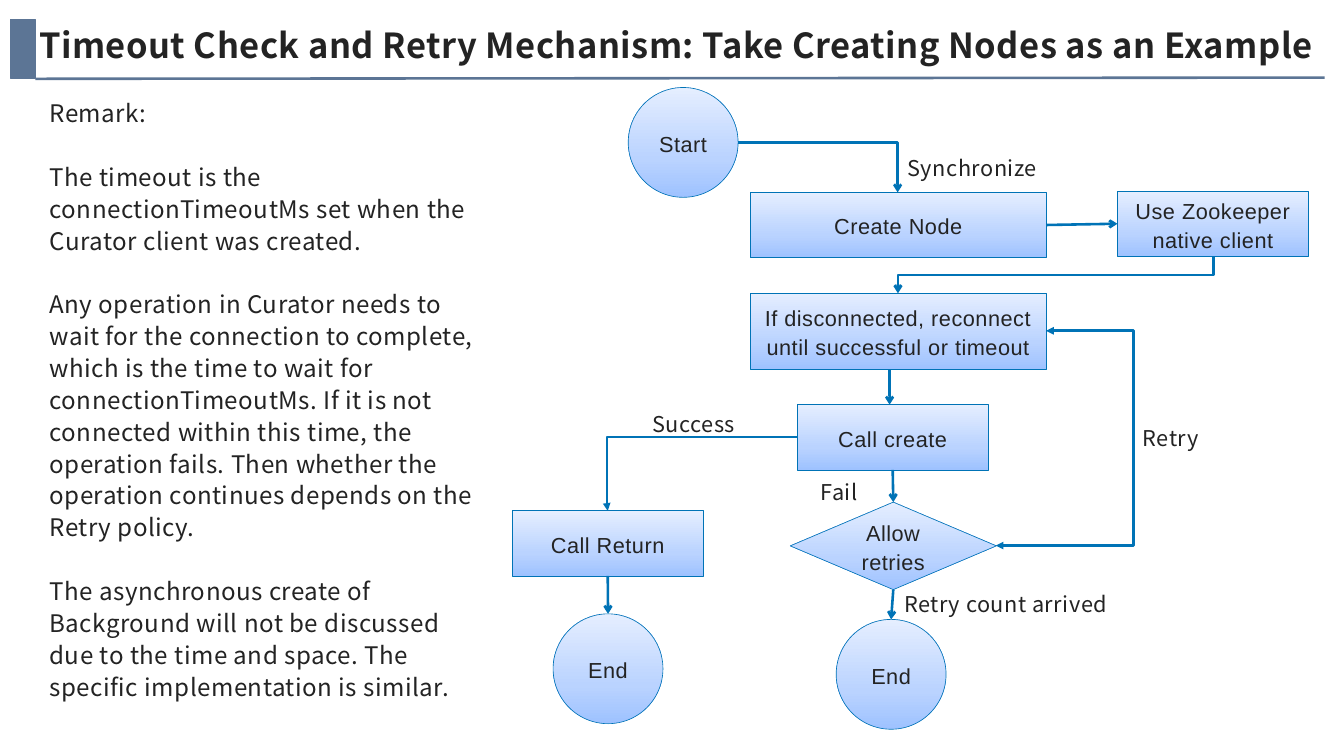
import pptx
import pptx.util
import pptx.dml.color
import pptx.enum.shapes
import pptx.enum.text
import pptx.oxml.ns
import lxml.etree

SCALE = 9144
COLORS = {"ink": "232323", "line": "0073B6", "bar": "5C7595",
          "deep": "9EC2FF", "mid": "BAD3FF", "pale": "E5EEFF"}
SANS = "Noto Sans CJK SC"
KIND = pptx.enum.shapes.MSO_SHAPE
WIRE = pptx.enum.shapes.MSO_CONNECTOR
ALIGN = pptx.enum.text.PP_ALIGN
ANCHOR = pptx.enum.text.MSO_ANCHOR
FIT = pptx.enum.text.MSO_AUTO_SIZE


def px(*sizes):
    return [pptx.util.Emu(size * SCALE) for size in sizes]


def shade(name):
    return pptx.dml.color.RGBColor.from_string(COLORS[name])


def tag(name):
    return pptx.oxml.ns.qn("a:" + name)


def add(parent, kind, /, **attrs):
    return lxml.etree.SubElement(parent, tag(kind), attrs)


def pad(frame, left, top, right, low):
    sides = px(left, top, right, low)
    frame.margin_left, frame.margin_top, frame.margin_right, frame.margin_bottom = sides


def write(para, text, size, font=SANS, bold=False, align=ALIGN.LEFT):
    para.alignment = align
    para.line_spacing = 1.1
    run = para.add_run()
    run.text = text
    run.font.name = font
    run.font.size = pptx.util.Pt(size)
    run.font.bold = bold
    run.font.color.rgb = shade("ink")
    run._r.get_or_add_rPr().set("spc", "60")


def node(slide, kind, text, x, y, w, h):
    shape = slide.shapes.add_shape(kind, *px(x, y, w, h))
    shape.shadow.inherit = False
    shape.fill.gradient()
    shape.fill.gradient_angle = 90
    stops = shape._element.spPr.find(tag("gradFill")).find(tag("gsLst"))
    for stop in list(stops):
        stops.remove(stop)
    for pos, name in ((0, "deep"), (35, "mid"), (100, "pale")):
        add(add(stops, "gs", pos=str(pos * 1000)), "srgbClr", val=COLORS[name])
    shape.line.color.rgb = shade("line")
    shape.line.width = pptx.util.Pt(0.75)
    frame = shape.text_frame
    frame.word_wrap = True
    frame.vertical_anchor = ANCHOR.MIDDLE
    pad(frame, 19, 10, 19, 10)
    write(frame.paragraphs[0], text, 25.2, "Arial", align=ALIGN.CENTER)
    return shape


def link(slide, kind, ends, color="line", head=None, tail=None):
    wire = slide.shapes.add_connector(kind, *px(*ends))
    wire.line.color.rgb = shade(color)
    wire.line.width = pptx.util.Pt(3)
    line = wire.get_or_add_ln()
    for name, tip in (("headEnd", head), ("tailEnd", tail)):
        if tip:
            add(line, name, type=tip)
    add(wire._element.spPr, "effectLst")
    return wire


def join(slide, start, end):
    wire = link(slide, WIRE.STRAIGHT, (0, 0, 1, 1), tail="arrow")
    wire.begin_connect(*start)
    wire.end_connect(*end)


def elbow(slide, ends, form="bentConnector3", adj=None, turn=0, head=None, tail="arrow"):
    wire = link(slide, WIRE.ELBOW, ends, head=head, tail=tail)
    props = wire._element.spPr
    if turn:
        props.find(tag("xfrm")).set("rot", str(turn * 60000))
    shape = props.find(tag("prstGeom"))
    shape.set("prst", form)
    if adj is not None:
        add(shape.find(tag("avLst")), "gd", name="adj1", fmla=f"val {adj}")


def label(slide, text, x, y, w, h=57):
    frame = slide.shapes.add_textbox(*px(x, y, w, h)).text_frame
    frame.word_wrap = False
    frame.auto_size = FIT.SHAPE_TO_FIT_TEXT
    write(frame.paragraphs[0], text, 25.2)


def header(slide, x, y, w, h):
    link(slide, WIRE.STRAIGHT, (x + 40, y + h, x + w - 25, y + h - 2), "bar")
    title = slide.shapes.title
    title.left, title.top, title.width, title.height = px(x + 46, y + 1, w - 46, 79)
    frame = title.text_frame
    frame.word_wrap = True
    frame.auto_size = FIT.NONE
    frame.vertical_anchor = ANCHOR.TOP
    pad(frame, 0, 0, 0, 5)
    write(frame.paragraphs[0],
          "Timeout Check and Retry Mechanism: Take Creating Nodes as an Example",
          40, bold=True)
    bar = slide.shapes.add_shape(KIND.FLOWCHART_PROCESS, *px(x, y, 40, h))
    bar.shadow.inherit = False
    bar.fill.solid()
    bar.fill.fore_color.rgb = shade("bar")
    bar.line.color.rgb = shade("bar")
    bar.line.width = pptx.util.Pt(0.75)


def remark(slide, x, y, w, h):
    frame = slide.shapes.add_textbox(*px(x, y, w, h)).text_frame
    frame.word_wrap = True
    texts = (
        "Remark:",
        "The timeout is the connectionTimeoutMs set when the Curator client was created.",
        "Any operation in Curator needs to wait for the connection to complete, "
        "which is the time to wait for connectionTimeoutMs. If it is not connected "
        "within this time, the operation fails. Then whether the operation continues "
        "depends on the Retry policy.",
        "The asynchronous create of Background will not be discussed due to the time "
        "and space. The specific implementation is similar.",
    )
    for index, text in enumerate(texts):
        para = frame.add_paragraph() if index else frame.paragraphs[0]
        para.space_before = pptx.util.Pt(37 if index else 0)
        write(para, text, 28)


def flow(slide, x, y):
    def ends(a, b, c, d):
        return x + a, y + b, x + c, y + d

    def place(kind, text, left, top, wide, high):
        return node(slide, kind, text, x + left, y + top, wide, high)

    disc, rect = KIND.FLOWCHART_CONNECTOR, KIND.RECTANGLE
    place(disc, "Start", 212, 41, 177, 177)
    make = place(rect, "Create Node", 408, 210, 478, 105)
    client = place(rect, "Use Zookeeper native client", 1000, 208, 308, 105)
    place(rect, "If disconnected, reconnect until successful or timeout", 408, 372, 478, 123)
    call = place(rect, "Call create", 484, 552, 308, 105)
    allow = place(KIND.FLOWCHART_DECISION, "Allow retries", 473, 709, 332, 141)
    back = place(rect, "Call Return", 25, 723, 308, 105)
    fail = place(disc, "End", 547, 898, 177, 177)
    done = place(disc, "End", 91, 889, 177, 177)

    join(slide, (make, 3), (client, 1))
    join(slide, (call, 2), (allow, 0))
    join(slide, (allow, 2), (fail, 0))
    join(slide, (back, 2), (done, 0))
    link(slide, WIRE.STRAIGHT, ends(633, 495, 633, 552), tail="arrow")
    elbow(slide, ends(871, 89, 930, 597), adj=50000, turn=90)
    elbow(slide, ends(389, 130, 646, 210), "bentConnector2")
    elbow(slide, ends(885, 433, 804, 779), adj=-174000, head="triangle", tail="triangle")
    elbow(slide, ends(484, 604, 179, 723), adj=100500, tail="triangle")

    for text, left, top, wide in (
        ("Synchronize", 652, 140, 234),
        ("Success", 241, 552, 167),
        ("Fail", 512, 663, 82),
        ("Retry count arrived", 647, 843, 353),
        ("Retry", 1031, 576, 123),
    ):
        label(slide, text, x + left, y + top, wide)


def main():
    deck = pptx.Presentation()
    deck.slide_width, deck.slide_height = px(2165, 1181)
    slide = deck.slides.add_slide(deck.slide_layouts[5])
    header(slide, 17, 31, 2142, 96)
    remark(slide, 70, 149, 730, 995)
    flow(slide, 800, 100)
    deck.save("out.pptx")


if __name__ == "__main__":
    main()
